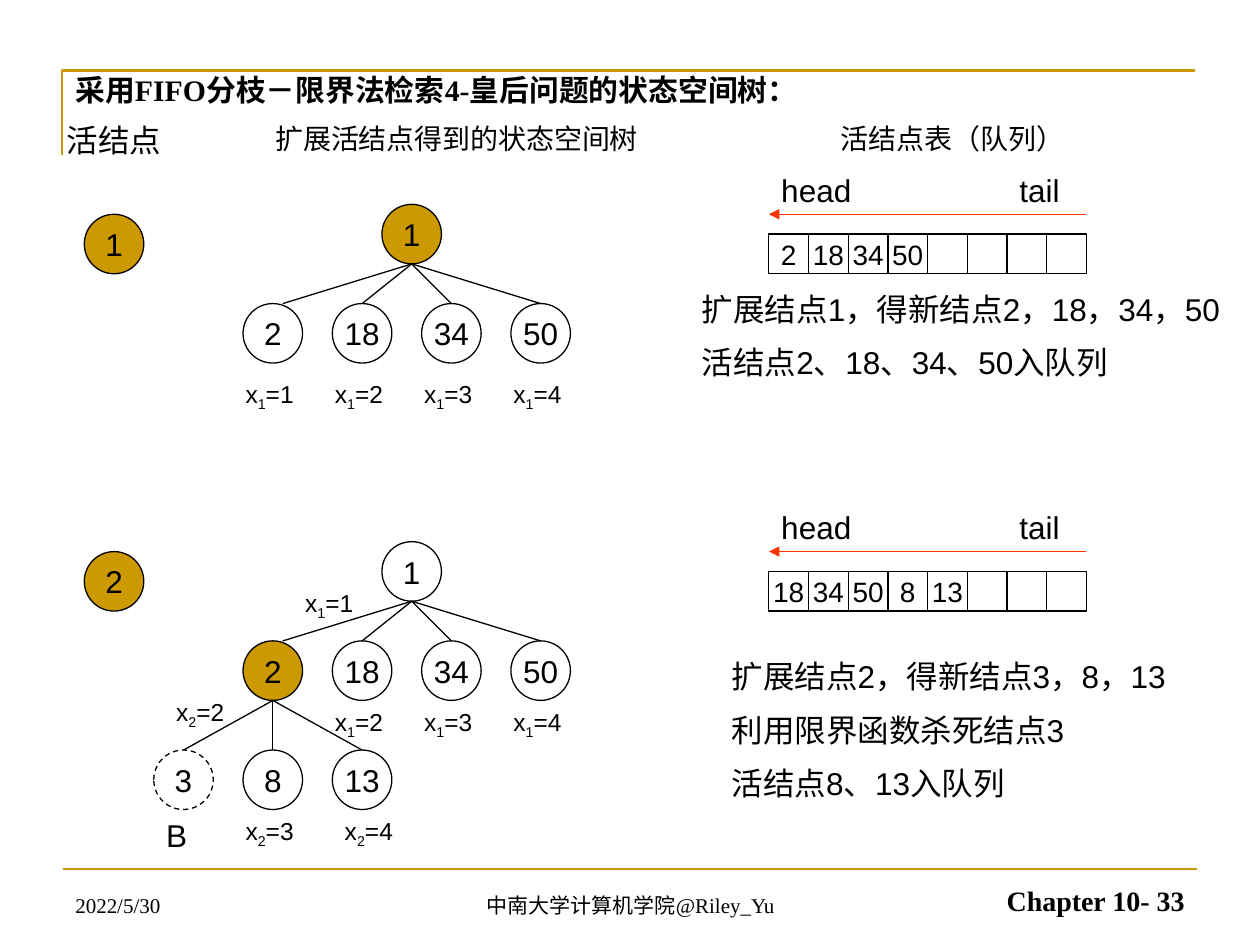
import pptx
import pptx.util
import pptx.dml.color
import pptx.enum.dml
import pptx.enum.shapes
import pptx.enum.text
import pptx.oxml

Cm = pptx.util.Cm
Pt = pptx.util.Pt
SHAPE = pptx.enum.shapes.MSO_SHAPE
ALIGN = pptx.enum.text.PP_ALIGN
ANCHOR = pptx.enum.text.MSO_ANCHOR

COLORS = {"gold": "CC9900", "black": "000000", "red": "FF3300"}
SANS, SERIF = "Arial", "Times New Roman"

TITLE = "采用FIFO分枝－限界法检索4-皇后问题的状态空间树："
# text, left, width, size
HEADINGS = [
    ("活结点", 1.1, 2.8, 18),
    ("扩展活结点得到的状态空间树", 5.3, 8, 16),
    ("活结点表（队列）", 16.7, 5.6, 16),
]
# text, left, width, size, bold, alignment
FOOTERS = [
    ("2022/5/30", 1.27, 5.92, 12, False, ALIGN.LEFT),
    ("中南大学计算机学院@Riley_Yu", 8.69, 8.05, 12, False, ALIGN.CENTER),
    ("Chapter 10- 33", 18.21, 5.92, 16, True, ALIGN.RIGHT),
]
CHILDREN = ["2", "18", "34", "50"]
# Left and top values inside a step; tops are measured from the root node.
STEPS = [
    {
        "top": 4.12,
        "active": "1",
        "grandchildren": [],
        "killed": [],
        "queue": ["2", "18", "34", "50"],
        "notes": ["扩展结点1，得新结点2，18，34，50", "活结点2、18、34、50入队列"],
        "notes_box": (13.9, 1.6, 11.5, 2.16),
        "labels": [("1", "1", 4.7, 3.4), ("1", "2", 6.5, 3.4),
                   ("1", "3", 8.3, 3.4), ("1", "4", 10.1, 3.4)],
    },
    {
        "top": 10.92,
        "active": "2",
        "grandchildren": ["3", "8", "13"],
        "killed": ["3"],
        "queue": ["18", "34", "50", "8", "13"],
        "notes": ["扩展结点2，得新结点3，8，13", "利用限界函数杀死结点3", "活结点8、13入队列"],
        "notes_box": (14.5, 2.2, 10.4, 3.3),
        "labels": [("1", "1", 5.9, 0.8), ("1", "2", 6.5, 3.2),
                   ("1", "3", 8.3, 3.2), ("1", "4", 10.1, 3.2),
                   ("2", "2", 3.3, 3), ("2", "3", 4.7, 5.4), ("2", "4", 6.7, 5.4)],
    },
]

NODE = 1.2
NODE_PITCH = 1.8
ACTIVE_LEFT, ROOT_LEFT, CHILD_LEFT, GRANDCHILD_LEFT = 1.7, 7.7, 4.9, 3.1
CHILD_DROP, GRANDCHILD_DROP = 2, 4.2
FIRST_EDGE_SHIFT = 0.2
CELL, CELL_COUNT, QUEUE_LEFT = 0.8, 8, 15.5

presentation = pptx.Presentation()
presentation.slide_width, presentation.slide_height = Cm(25.4), Cm(19.05)
slide = presentation.slides.add_slide(presentation.slide_layouts[6])


def rgb(name):
    return pptx.dml.color.RGBColor.from_string(COLORS[name])


def style_runs(paragraph, size, font=SANS, bold=False):
    for run in paragraph.runs:
        run.font.size = Pt(size)
        run.font.name = font
        run.font.bold = bold
        run.font.color.rgb = rgb("black")


def add_text(lines, left, top, width, height, size, font=SANS, bold=False,
             alignment=ALIGN.LEFT, anchor=ANCHOR.TOP):
    box = slide.shapes.add_textbox(Cm(left), Cm(top), Cm(width), Cm(height))
    frame = box.text_frame
    frame.word_wrap = True
    frame.vertical_anchor = anchor
    frame.text = "\n".join(lines)
    for index, paragraph in enumerate(frame.paragraphs):
        paragraph.alignment = alignment
        if index:
            paragraph.space_before = Pt(9)
        style_runs(paragraph, size, font, bold)


def add_variable(index, value, left, top):
    """Label such as x1=2, with the index as a subscript."""
    box = slide.shapes.add_textbox(Cm(left), Cm(top), Cm(2), Cm(0.84))
    box.text_frame.word_wrap = True
    paragraph = box.text_frame.paragraphs[0]
    for text in ("x", index, f"={value}"):
        paragraph.add_run().text = text
    style_runs(paragraph, 14)
    paragraph.runs[1].font._element.set("baseline", "-25000")


def add_shape(kind, text, left, top, side, size, filled=False, dashed=False):
    shape = slide.shapes.add_shape(kind, Cm(left), Cm(top), Cm(side), Cm(side))
    shape.shadow.inherit = False
    if filled:
        shape.fill.solid()
        shape.fill.fore_color.rgb = rgb("gold")
    else:
        shape.fill.background()
    shape.line.color.rgb = rgb("black")
    shape.line.width = Pt(0.75)
    if dashed:
        shape.line.dash_style = pptx.enum.dml.MSO_LINE.DASH
    frame = shape.text_frame
    frame.word_wrap = False
    frame.vertical_anchor = ANCHOR.MIDDLE
    frame.text = text
    frame.paragraphs[0].alignment = ALIGN.CENTER
    style_runs(frame.paragraphs[0], size)


def add_node(text, left, top, filled=False, dashed=False):
    add_shape(SHAPE.OVAL, text, left, top, NODE, 18, filled, dashed)


def add_line(start, end, color="black", width=0.75, arrow=False):
    line = slide.shapes.add_connector(
        pptx.enum.shapes.MSO_CONNECTOR.STRAIGHT, *map(Cm, start + end))
    line.line.color.rgb = rgb(color)
    line.line.width = Pt(width)
    if arrow:
        outline = line.line._get_or_add_ln()
        head = pptx.oxml.parse_xml(
            '<a:tailEnd xmlns:a="http://schemas.openxmlformats.org/drawingml/2006/main"'
            ' type="triangle"/>')
        outline.append(head)
    line._element.spPr.append(pptx.oxml.parse_xml(
        '<a:effectLst xmlns:a="http://schemas.openxmlformats.org/drawingml/2006/main"/>'))


def add_frame():
    builder = slide.shapes.build_freeform(Cm(1.25), Cm(3.12))
    builder.add_line_segments(
        [(Cm(1.25), Cm(1.42)), (Cm(24.1), Cm(1.42))], close=False)
    corner = builder.convert_to_shape()
    corner.shadow.inherit = False
    corner.fill.background()
    corner.line.color.rgb = rgb("gold")
    corner.line.width = Pt(1.5)
    add_line((1.27, 17.52), (24.13, 17.52), "gold", 1.5)
    add_text([TITLE], 1.27, 1.32, 23.62, 1.55, 17, SERIF, True)
    for text, left, width, size in HEADINGS:
        add_text([text], left, 2.32, width, 1, size)
    for text, left, width, size, bold, alignment in FOOTERS:
        add_text([text], left, 17.35, width, 1.27, size, SERIF, bold,
                 alignment, ANCHOR.BOTTOM)


def add_tree(step):
    top, active, killed = step["top"], step["active"], step["killed"]
    add_node(active, ACTIVE_LEFT, top + 0.2, filled=True)
    add_node("1", ROOT_LEFT, top, filled=active == "1")
    levels = [
        (CHILDREN, ROOT_LEFT, 0, CHILD_LEFT, CHILD_DROP, FIRST_EDGE_SHIFT),
        (step["grandchildren"], CHILD_LEFT, CHILD_DROP, GRANDCHILD_LEFT, GRANDCHILD_DROP, 0),
    ]
    for names, parent_left, parent_drop, first_left, drop, first_shift in levels:
        parent_foot = (parent_left + NODE / 2, top + parent_drop + NODE)
        for index, name in enumerate(names):
            left = first_left + index * NODE_PITCH
            shift = 0 if index else first_shift
            add_node(name, left, top + drop, name == active, name in killed)
            add_line(parent_foot, (left + NODE / 2 + shift, top + drop))
    for index, value, left, drop in step["labels"]:
        add_variable(index, value, left, top + drop)
    if killed:
        add_text(["B"], GRANDCHILD_LEFT, top + 5.4, 1.8, 1, 18)


def add_queue(step):
    top = step["top"]
    for index in range(CELL_COUNT):
        text = step["queue"][index] if index < len(step["queue"]) else ""
        add_shape(SHAPE.RECTANGLE, text, QUEUE_LEFT + index * CELL, top + 0.6, CELL, 16)
    add_line((QUEUE_LEFT + CELL_COUNT * CELL, top + 0.2), (QUEUE_LEFT, top + 0.2),
             "red", arrow=True)
    for text, cell in (("head", 0), ("tail", 6)):
        add_text([text], QUEUE_LEFT + cell * CELL, top - 0.8, 2.4, 1, 18)
    left, drop, width, height = step["notes_box"]
    add_text(step["notes"], left, top + drop, width, height, 18)


add_frame()
for step in STEPS:
    add_tree(step)
    add_queue(step)
presentation.save("out.pptx")
